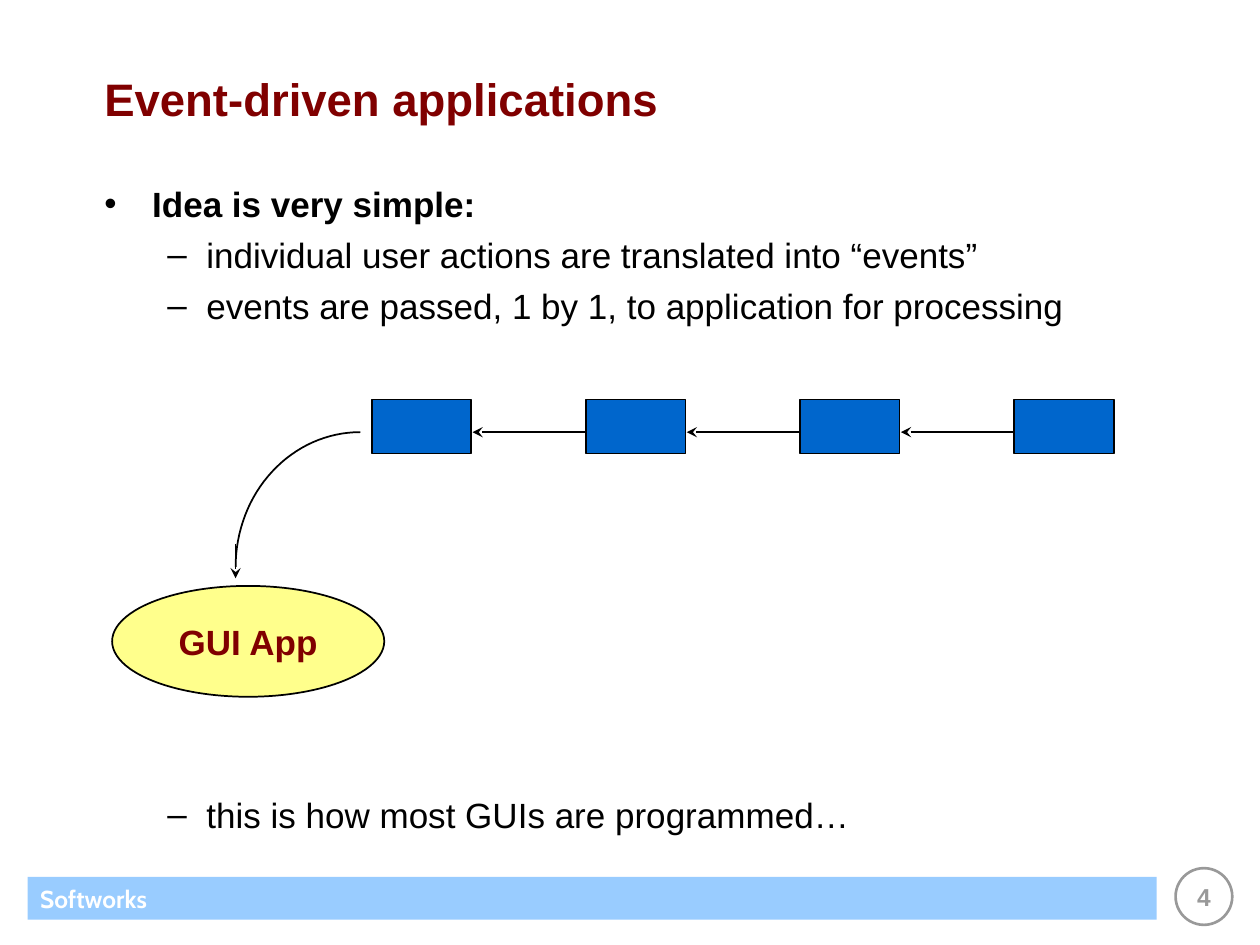
import math

from lxml import etree
from pptx import Presentation
from pptx.dml.color import RGBColor
from pptx.enum import shapes, text
from pptx.oxml import ns
from pptx.util import Inches, Pt

COLORS = {
    "maroon": "800000",
    "black": "000000",
    "white": "FFFFFF",
    "gray": "999999",
    "sky": "99CCFF",
    "blue": "0066CC",
    "yellow": "FFFF8C",
}


def rgb(color):
    """Return the named palette colour."""
    return RGBColor.from_string(COLORS[color])


def style_font(paragraph, size, color, bold=False, face="Arial"):
    """Set the font of a whole paragraph."""
    font = paragraph.font
    font.size, font.bold, font.name = Pt(size), bold, face
    font.color.rgb = rgb(color)


def add_label(slide, box, wording, size, color, align=text.PP_ALIGN.LEFT):
    """Add a vertically centred bold line of text."""
    label = slide.shapes.add_textbox(*map(Inches, box))
    fill_label(label, wording, size, color, align)


def fill_label(shape, wording, size, color, align, face="Arial"):
    """Write one bold line into a shape."""
    frame = shape.text_frame
    frame.word_wrap = True
    frame.vertical_anchor = text.MSO_ANCHOR.MIDDLE
    paragraph = frame.paragraphs[0]
    paragraph.text, paragraph.alignment = wording, align
    style_font(paragraph, size, color, True, face)


def add_block(slide, kind, box, fill, line=None, width=1):
    """Add a flat preset shape."""
    block = slide.shapes.add_shape(kind, *map(Inches, box))
    block.shadow.inherit = False
    block.fill.solid()
    block.fill.fore_color.rgb = rgb(fill)
    if line:
        block.line.color.rgb = rgb(line)
        block.line.width = Pt(width)
    else:
        block.line.fill.background()
    return block


def add_arrow(slide, start, end, tip):
    """Add a straight line with a stealth tip at headEnd or tailEnd."""
    arrow = slide.shapes.add_connector(
        shapes.MSO_CONNECTOR.STRAIGHT, *map(Inches, (*start, *end)))
    arrow.line.color.rgb = rgb("black")
    arrow.line.width = Pt(1)
    etree.SubElement(arrow.line._get_or_add_ln(), ns.qn(f"a:{tip}"), type="stealth")
    etree.SubElement(arrow._element.spPr, ns.qn("a:effectLst"))


def add_bullet(paragraph, symbol, margin, hanging):
    """Give a paragraph a hanging bullet."""
    properties = paragraph._p.get_or_add_pPr()
    properties.set("marL", str(Inches(margin)))
    properties.set("indent", str(-Inches(hanging)))
    etree.SubElement(properties, ns.qn("a:buFont"), typeface="Arial")
    etree.SubElement(properties, ns.qn("a:buChar"), char=symbol)


def add_footer(slide, left, top):
    """Place the footer band and the page number badge."""
    band = add_block(slide, shapes.MSO_SHAPE.RECTANGLE, (left, top, 8.96, 0.34), "sky")
    fill_label(band, "Softworks", 14, "white", text.PP_ALIGN.LEFT, "Cabin")
    add_block(slide, shapes.MSO_SHAPE.OVAL,
              (left + 9.11, top - 0.07, 0.45, 0.45), "white", "gray", 1.5)
    add_label(slide, (left + 8.96, top - 0.09, 0.75, 0.5), "4", 14, "gray",
              text.PP_ALIGN.CENTER)


def add_points(slide, box):
    """Place the bulleted points, leaving room for the diagram before the last."""
    points = [
        ("Idea is very simple:", 0, 0),
        ("individual user actions are translated into “events”", 1, 5),
        ("events are passed, 1 by 1, to application for processing", 1, 5),
        ("this is how most GUIs are programmed…", 1, 267),
    ]
    bullets = [("•", 0.38, 0.38), ("–", 0.81, 0.31)]
    frame = slide.shapes.add_textbox(*map(Inches, box)).text_frame
    frame.word_wrap = True
    for index, (wording, level, space) in enumerate(points):
        paragraph = frame.add_paragraph() if index else frame.paragraphs[0]
        paragraph.text, paragraph.level = wording, level
        paragraph.space_before = Pt(space)
        add_bullet(paragraph, *bullets[level])
        style_font(paragraph, 20, "black", bold=level == 0)


def add_curve(slide, left, top, width, height):
    """Draw a quarter ellipse from bottom left to top right."""
    steps = 32
    angles = [math.pi / 2 * step / steps for step in range(steps + 1)]
    points = [(Inches(left + width * (1 - math.cos(angle))),
               Inches(top + height * (1 - math.sin(angle)))) for angle in angles]
    builder = slide.shapes.build_freeform(*points[0])
    builder.add_line_segments(points[1:], close=False)
    curve = builder.convert_to_shape()
    curve.shadow.inherit = False
    curve.fill.background()
    curve.line.color.rgb = rgb("black")
    curve.line.width = Pt(1)


def add_event_queue(slide, left, top):
    """Place the event queue that feeds the GUI application."""
    events, pitch, width = 4, 1.7, 0.79
    first, flow = left + 2.06, top + 0.26
    for index in range(events):
        event = first + index * pitch
        add_block(slide, shapes.MSO_SHAPE.RECTANGLE, (event, top, width, 0.43),
                  "blue", "black")
        if index < events - 1:
            add_arrow(slide, (event + width + 0.01, flow), (event + pitch, flow),
                      "headEnd")
    app = add_block(slide, shapes.MSO_SHAPE.OVAL, (left, top + 1.48, 2.16, 0.88),
                    "yellow", "black")
    fill_label(app, "GUI App", 20, "maroon", text.PP_ALIGN.CENTER)
    add_curve(slide, left + 0.98, flow, 0.99, 1.07)
    add_arrow(slide, (left + 0.98, top + 1.15), (left + 0.98, top + 1.42), "tailEnd")


def main():
    """Build and save the slide."""
    deck = Presentation()
    deck.slide_width, deck.slide_height = Inches(10), Inches(7.5)
    slide = deck.slides.add_slide(deck.slide_layouts[6])
    add_footer(slide, 0.22, 6.96)
    add_label(slide, (0.73, 0.2, 8.77, 1.16), "Event-driven applications", 26, "maroon")
    add_points(slide, (0.73, 1.4, 8.77, 5.2))
    add_event_queue(slide, 0.89, 3.17)
    deck.save("out.pptx")


if __name__ == "__main__":
    main()
